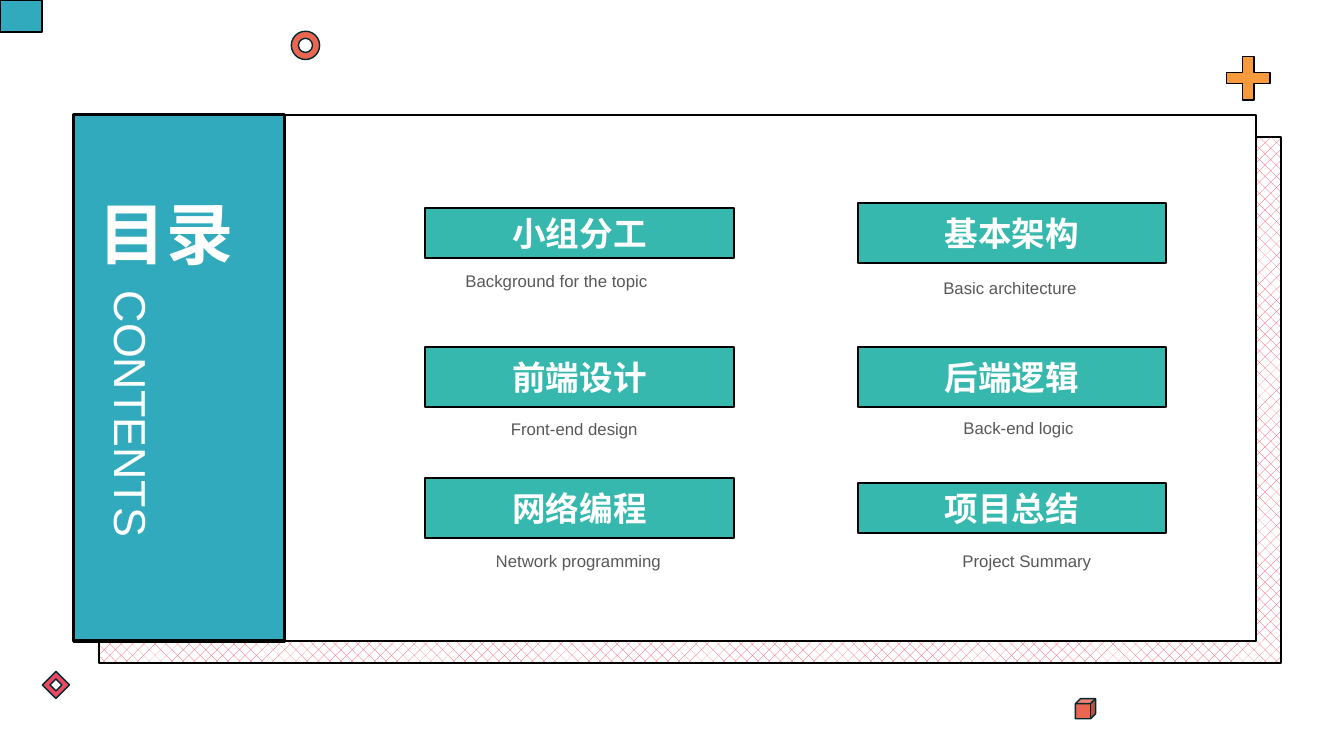
import pptx
import pptx.util
import pptx.dml.color
import pptx.enum.dml
import pptx.enum.shapes
import pptx.enum.text
import lxml.etree

Pt = pptx.util.Pt
SHAPE = pptx.enum.shapes.MSO_SHAPE
ALIGN = pptx.enum.text.PP_ALIGN
ANCHOR = pptx.enum.text.MSO_ANCHOR

presentation = pptx.Presentation()
presentation.slide_width = Pt(960)
presentation.slide_height = Pt(540)
slide = presentation.slides.add_slide(presentation.slide_layouts[5])


def color(hex_value):
    return pptx.dml.color.RGBColor.from_string(hex_value)


def write(shape, text, size, hex_value, bold=False, align=ALIGN.LEFT,
          anchor=ANCHOR.TOP, wrap=False):
    frame = shape.text_frame
    frame_format = {
        "text": text,
        "word_wrap": wrap,
        "vertical_anchor": anchor,
        "auto_size": pptx.enum.text.MSO_AUTO_SIZE.SHAPE_TO_FIT_TEXT,
    }
    for name, value in frame_format.items():
        setattr(frame, name, value)
    paragraph = frame.paragraphs[0]
    paragraph.alignment = align
    font = paragraph.runs[0].font
    for name, value in {"name": "Arial", "size": Pt(size), "bold": bold}.items():
        setattr(font, name, value)
    font.color.rgb = color(hex_value)
    return font


# Panels, corner ornaments and topic bars: kind, box, fill, line colour, line width
bar_columns = (303.8, 612.7)
bar_rows = (((148.3, 36), (144.7, 43.2)),
            ((247.7, 43.2), (247.7, 43.2)),
            ((341.3, 43.2), (344.9, 36)))
topics = (("小组分工", "基本架构"), ("前端设计", "后端逻辑"), ("网络编程", "项目总结"))

decorations = [
    (SHAPE.RECTANGLE, (70.6, 97.9, 844.6, 375.8), "EB4962", "000000", 1.5),
    (SHAPE.RECTANGLE, (52.6, 82.1, 844.6, 375.8), "FFFFFF", "000000", 1.5),
    (SHAPE.RECTANGLE, (52.6, 82.1, 150.5, 375.8), "30AABC", "000000", 2.25),
    (SHAPE.RECTANGLE, (0, 0, 30.2, 23), "30AABC", "000000", 1.5),
    (SHAPE.CROSS, (876.2, 40.3, 31, 31), "F79A3E", "000000", 1),
    (SHAPE.FRAME, (33.1, 482.4, 13.7, 13.7), "EB4962", "00282D", 1),
    (SHAPE.DONUT, (208.1, 22.3, 20.2, 20.2), "EB6651", "00282D", 1),
    (SHAPE.CUBE, (768.2, 499, 14.4, 14.4), "EB6651", "00282D", 1),
]
bars = [(SHAPE.RECTANGLE, (left, top, 220.3, height), "37B8AF", "000000", 1.5)
        for row in bar_rows
        for left, (top, height) in zip(bar_columns, row)]

drawn = []
for kind, box, fill, line, width in decorations + bars:
    shape = slide.shapes.add_shape(kind, *map(Pt, box))
    shape.shadow.inherit = False
    shape.fill.solid()
    shape.fill.fore_color.rgb = color(fill)
    shape.line.color.rgb = color(line)
    shape.line.width = Pt(width)
    drawn.append(shape)

# Dotted back panel and adjusted ornaments
back_panel, plus, diamond = drawn[0], drawn[4], drawn[5]
back_panel.fill.patterned()
back_panel.fill.pattern = pptx.enum.dml.MSO_PATTERN.PERCENT_25
back_panel.fill.fore_color.rgb = color("EB4962")
back_panel.fill.back_color.rgb = color("FFFFFF")
plus.adjustments[0] = 0.37
diamond.adjustments[0] = 0.28
diamond.rotation = 45

# Topic names
names = [name for row in topics for name in row]
for shape, name in zip(drawn[len(decorations):], names):
    write(shape, name, 24, "FFFFFF", bold=True, align=ALIGN.CENTER,
          anchor=ANCHOR.MIDDLE, wrap=True)

# Title, brought in front of the side panel
title = slide.shapes.title
title_box = {"left": 63.4, "top": 133.9, "width": 111.6, "height": 65.5}
for name, value in title_box.items():
    setattr(title, name, Pt(value))
write(title, "目录", 48, "FFFFFF", bold=True)
slide.shapes.element.append(title.element)

# Captions under the topics: text, left, top, width, wrap
captions = [
    ("Background for the topic", 325.4, 190.1, 145.4, False),
    ("Basic architecture", 666.7, 195.1, 136.1, True),
    ("Front-end design", 357.8, 295.9, 105.8, False),
    ("Back-end logic", 681.1, 295.2, 93.6, False),
    ("Network programming", 347, 389.5, 133.2, False),
    ("Project Summary", 680.4, 389.5, 107.3, False),
]
for text, left, top, width, wrap in captions:
    caption = slide.shapes.add_textbox(Pt(left), Pt(top), Pt(width), Pt(21.6))
    font = write(caption, text, 12, "262626", wrap=wrap)
    for tone in font.fill._xPr.iter("{*}srgbClr"):
        alpha = lxml.etree.SubElement(tone, pptx.oxml.ns.qn("a:alpha"))
        alpha.set("val", "76000")

# Vertical subtitle
subtitle = slide.shapes.add_textbox(Pt(-2.2), Pt(273.6), Pt(192.2), Pt(46.1))
subtitle.rotation = 90
write(subtitle, "CONTENTS", 32, "FFFFFF")

presentation.save("out.pptx")
